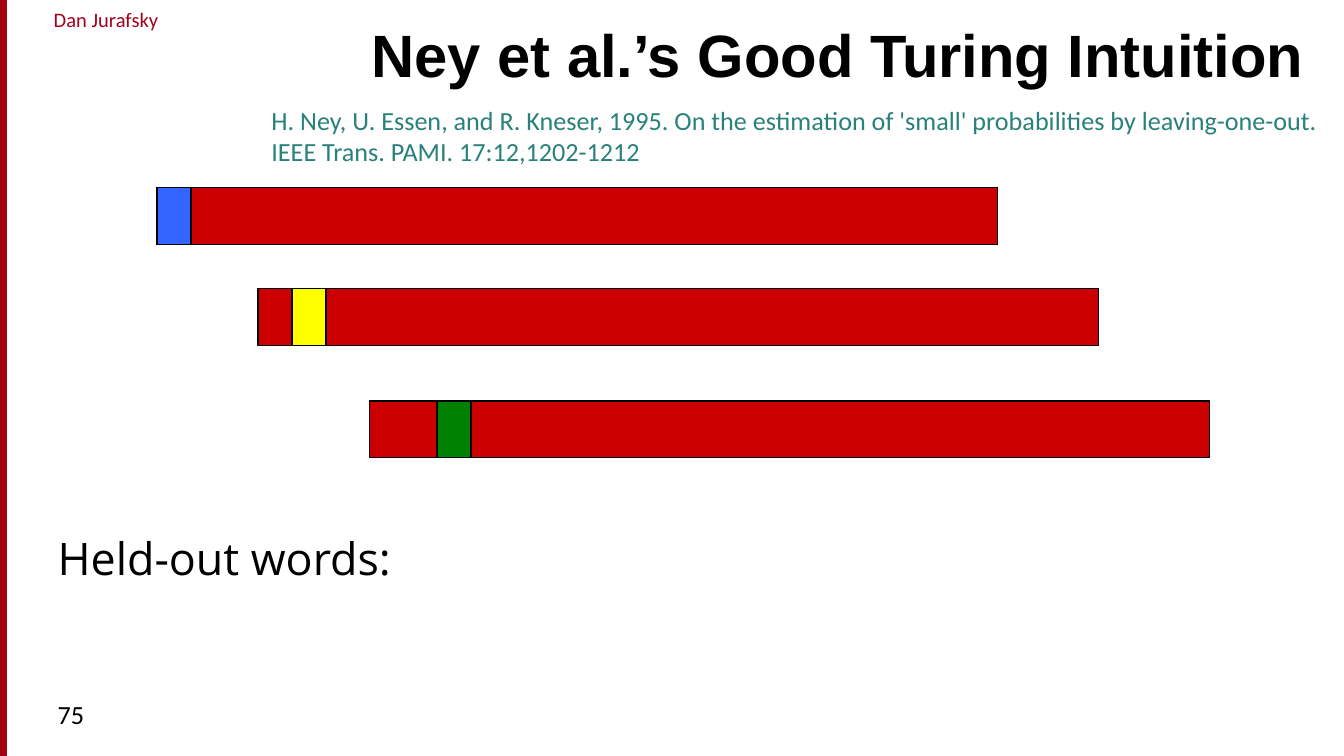
from pptx import Presentation
from pptx.dml.color import RGBColor
from pptx.enum.shapes import MSO_SHAPE
from pptx.enum.text import MSO_ANCHOR, PP_ALIGN
from pptx.util import Cm, Pt

BLACK = RGBColor(0x00, 0x00, 0x00)
CRIMSON = RGBColor(0xA4, 0x00, 0x1D)
STRIPE_RED = RGBColor(0xA4, 0x05, 0x08)
TRAINING_RED = RGBColor(0xCC, 0x00, 0x00)
BLUE = RGBColor(0x33, 0x66, 0xFF)
YELLOW = RGBColor(0xFF, 0xFF, 0x00)
GREEN = RGBColor(0x00, 0x80, 0x00)
TEAL = RGBColor(0x28, 0x81, 0x7A)

SLIDE_WIDTH, SLIDE_HEIGHT = 25.4, 14.29
BAR_WIDTH, BAR_HEIGHT, WORD_WIDTH = 15.88, 1.07, 0.64


def add_text(slide, box, text, size, color, font="Calibri", bold=False,
             anchor=MSO_ANCHOR.TOP, align=PP_ALIGN.LEFT, wrap=True):
    """Place one paragraph in box (left, top, width, height in cm)."""
    shape = slide.shapes.add_textbox(*map(Cm, box))
    frame = shape.text_frame
    frame.word_wrap = wrap
    frame.vertical_anchor = anchor
    paragraph = frame.paragraphs[0]
    paragraph.text = text
    paragraph.alignment = align
    paragraph.font.name = font
    paragraph.font.size = Pt(size)
    paragraph.font.bold = bold
    paragraph.font.color.rgb = color
    return shape


def add_block(slide, box, fill, line=BLACK):
    """Place a filled rectangle in box (left, top, width, height in cm)."""
    shape = slide.shapes.add_shape(MSO_SHAPE.RECTANGLE, *map(Cm, box))
    shape.shadow.inherit = False
    shape.fill.solid()
    shape.fill.fore_color.rgb = fill
    shape.line.color.rgb = line
    shape.line.width = Pt(0.75)


def add_frame(slide, box):
    """Side stripe, author and page number."""
    left, top, width, height = box
    add_block(slide, (left, top, 0.13, height), STRIPE_RED, CRIMSON)
    author = add_text(slide, (left + 0.2, top, 3.61, 0.74), "Dan Jurafsky",
                      11, CRIMSON, align=PP_ALIGN.CENTER)
    author.text_frame.margin_left = author.text_frame.margin_right = 0
    add_text(slide, (left + 0.84, top + height - 1.21, 5.51, 0.97), "75", 14, BLACK)


def add_heading(slide, box):
    """Title with the citation below it."""
    left, top, width, height = box
    add_text(slide, (left + 1.89, top - 0.25, 20.75, 2.06),
             "Ney et al.’s Good Turing Intuition", 32, BLACK,
             font="Arial", bold=True, anchor=MSO_ANCHOR.BOTTOM)
    add_text(slide, (left, top + 1.85, width, height - 1.85),
             "H. Ney, U. Essen, and R. Kneser, 1995. On the estimation of 'small' "
             "probabilities by leaving-one-out. IEEE Trans. PAMI. 17:12,1202-1212",
             14, TEAL)
    # The title starts left of the citation


def add_training_bar(slide, box, word_index, word_color):
    """Training bar with the held-out word at the given position."""
    left, top, width, height = box
    add_block(slide, box, TRAINING_RED)
    add_block(slide, (left + word_index * WORD_WIDTH, top, WORD_WIDTH, height),
              word_color)


def main():
    presentation = Presentation()
    presentation.slide_width = Cm(SLIDE_WIDTH)
    presentation.slide_height = Cm(SLIDE_HEIGHT)
    slide = presentation.slides.add_slide(presentation.slide_layouts[6])

    add_frame(slide, (0, 0, SLIDE_WIDTH, SLIDE_HEIGHT))
    add_heading(slide, (4.88, 0, 20.52, 3.3))

    # Each bar leaves out the next word
    bars = [(2.97, 3.55, BLUE), (4.88, 5.46, YELLOW), (6.98, 7.58, GREEN)]
    for index, (left, top, color) in enumerate(bars):
        add_training_bar(slide, (left, top, BAR_WIDTH, BAR_HEIGHT), index, color)

    # Label for the held-out words
    add_text(slide, (0.84, 9.91, 7.11, 1.27), "Held-out words:", 24, BLACK,
             font="Open Sans", wrap=False)

    presentation.save("out.pptx")


if __name__ == "__main__":
    main()
